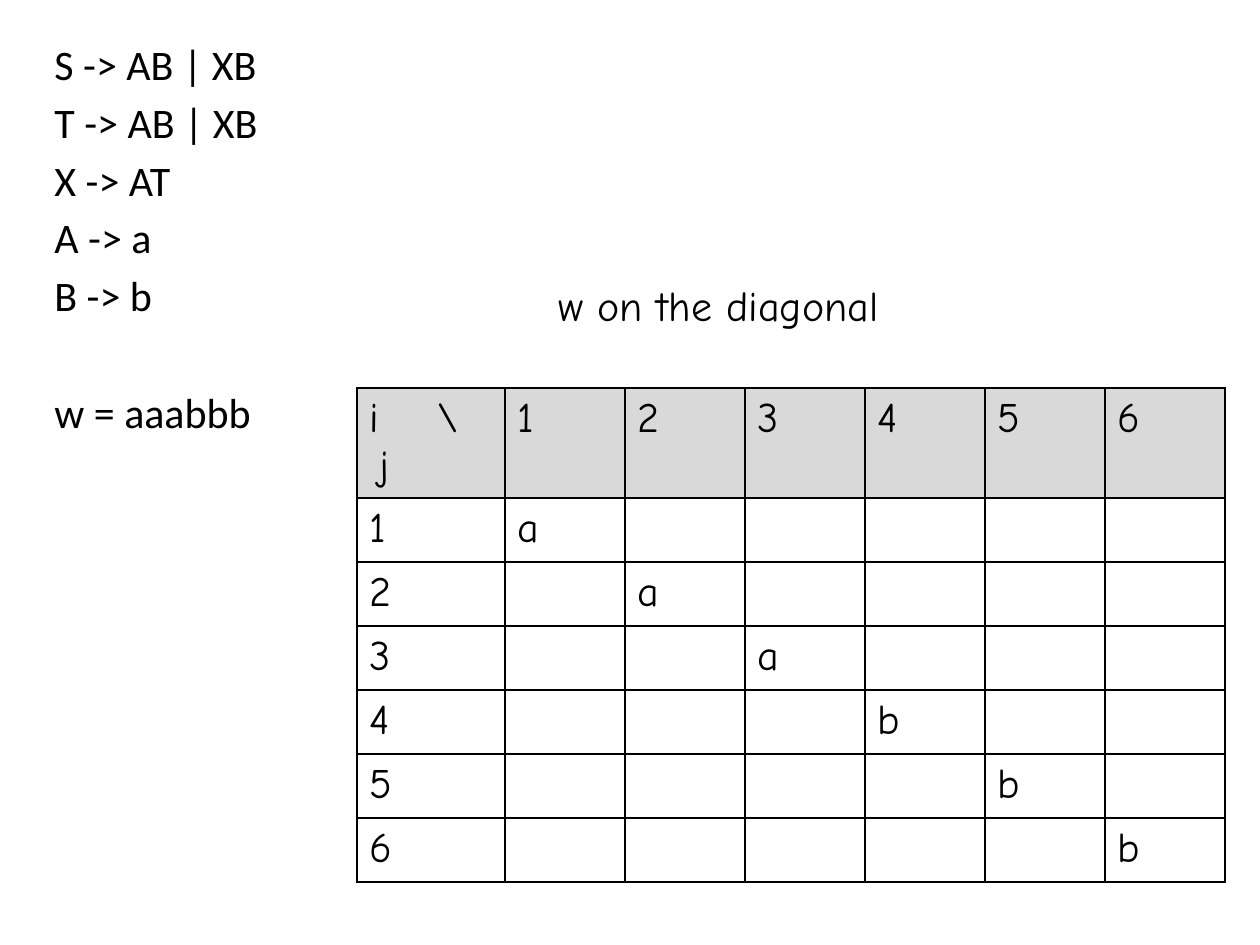
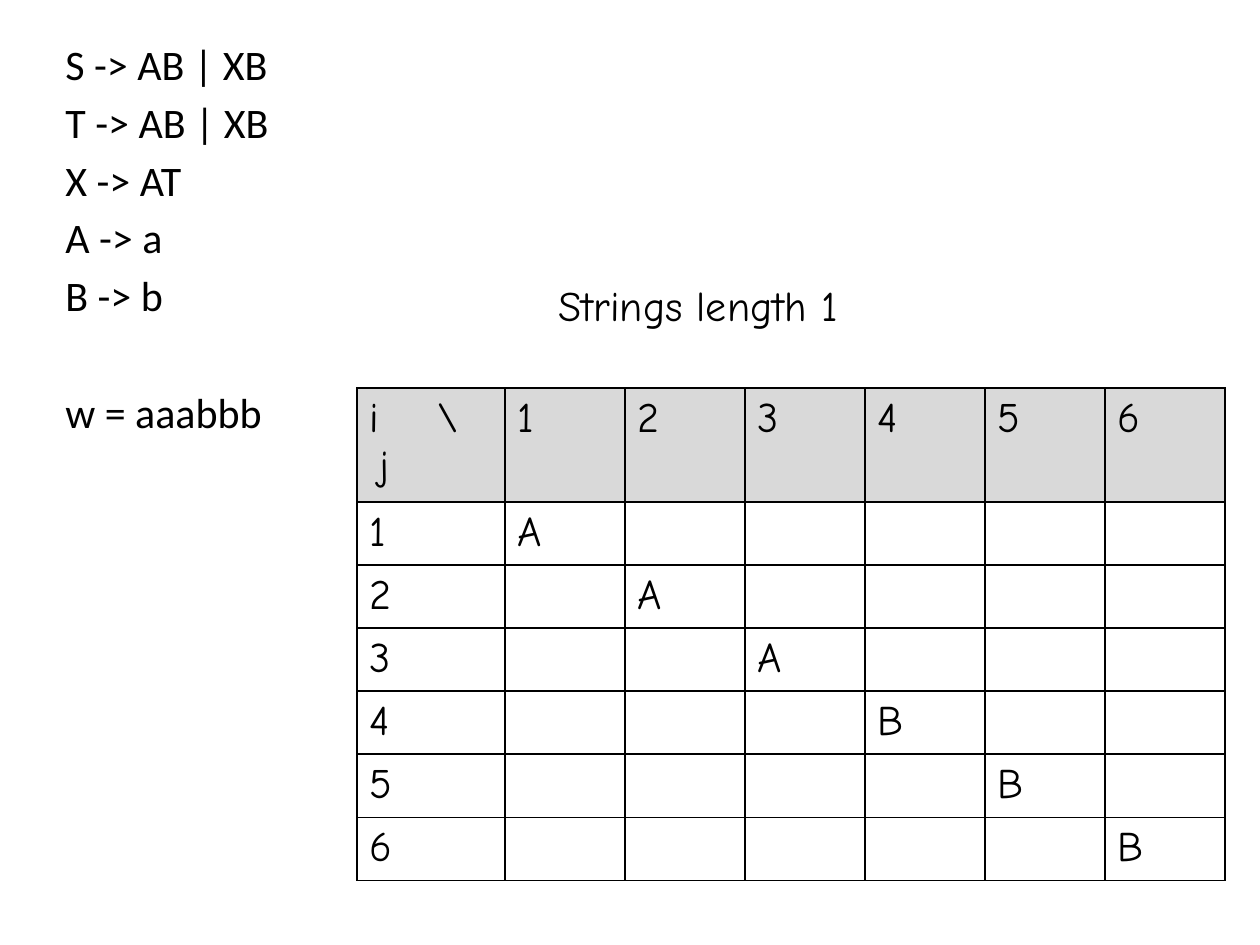
"""Builds two slides that fill a CYK parsing table for the word aaabbb."""
from lxml.etree import SubElement
from pptx import Presentation
from pptx.dml.color import RGBColor
from pptx.enum.text import MSO_AUTO_SIZE as AutoSize
from pptx.oxml.ns import qn
from pptx.util import Emu, Pt

RULES = ["S -> AB | XB", "T -> AB | XB", "X -> AT", "A -> a", "B -> b"]
WORD = "w = aaabbb"
SLIDES = [
    {"caption": "w on the diagonal", "diagonal": "aaabbb",
     "rules_x": 42, "caption_w": 363, "head_h": 110, "row_h": 64},
    {"caption": "Strings length 1", "diagonal": "AAABBB",
     "rules_x": 53, "caption_w": 340, "head_h": 114, "row_h": 63},
]
RULE_FONT, TABLE_FONT, SIZE = "Calibri", "Comic Neue", 24
BLACK, GREY = "000000", "D9D9D9"
GAP, WORD_GAP = 4.3, 37.7
TABLE_X, TABLE_Y, INDEX_W, COL_W = 357, 388, 148, 120
TAB, INDENT = 67, 10


def px(n):
    return Emu(round(n * 914400 / 126))


def rgb(color):
    return RGBColor.from_string(color)


def write(p, text, font, before=GAP):
    p.space_before = Pt(before)
    r = p.add_run()
    r.text = text
    r.font.name, r.font.size = font, Pt(SIZE)
    r.font.color.rgb = rgb(BLACK)


def add_text(s, box, lines, font, wrap=True):
    tf = s.shapes.add_textbox(*map(px, box)).text_frame
    tf.word_wrap = wrap
    tf.auto_size = AutoSize.SHAPE_TO_FIT_TEXT
    for i, (text, before) in enumerate(lines):
        write(tf.add_paragraph() if i else tf.paragraphs[0], text, font, before)


def format_cell(cell, is_head):
    tcPr = cell._tc.get_or_add_tcPr()
    for side in "LRTB":
        ln = SubElement(tcPr, qn(f"a:ln{side}"), w=str(Pt(1)))
        fill = SubElement(ln, qn("a:solidFill"))
        SubElement(fill, qn("a:srgbClr"), val=BLACK)
    if is_head:
        cell.fill.solid()
        cell.fill.fore_color.rgb = rgb(GREY)
    else:
        cell.fill.background()


def write_corner(tf):
    p = tf.paragraphs[0]
    write(p, "i\t\\", TABLE_FONT)
    tabs = SubElement(p._p.get_or_add_pPr(), qn("a:tabLst"))
    SubElement(tabs, qn("a:tab"), pos=str(px(TAB)), algn="l")
    p = tf.add_paragraph()
    write(p, "j", TABLE_FONT, 0)
    p._p.get_or_add_pPr().set("marL", str(px(INDENT)))


def add_grid(s, diagonal, head_h, row_h):
    n = len(diagonal)
    size = (INDEX_W + n * COL_W, head_h + n * row_h)
    table = s.shapes.add_table(n + 1, n + 1, *map(px, (TABLE_X, TABLE_Y, *size))).table
    table.first_row = table.horz_banding = False
    for i in range(n + 1):
        table.columns[i].width = px(COL_W if i else INDEX_W)
        table.rows[i].height = px(row_h if i else head_h)
        for j in range(n + 1):
            cell = table.cell(i, j)
            format_cell(cell, i == 0)
            if i == j == 0:
                write_corner(cell.text_frame)
            elif i == 0 or j == 0:
                write(cell.text_frame.paragraphs[0], str(i + j), TABLE_FONT)
            elif i == j:
                write(cell.text_frame.paragraphs[0], diagonal[i - 1], TABLE_FONT)


def main():
    prs = Presentation()
    prs.slide_width, prs.slide_height = px(1260), px(945)
    rules = [(rule, GAP) for rule in RULES] + [(WORD, WORD_GAP)]
    for d in SLIDES:
        s = prs.slides.add_slide(prs.slide_layouts[6])
        add_grid(s, d["diagonal"], d["head_h"], d["row_h"])
        add_text(s, (d["rules_x"], 32, 581, 430), rules, RULE_FONT)
        add_text(s, (546, 273, d["caption_w"], 63), [(d["caption"], GAP)],
                 TABLE_FONT, wrap=False)
    prs.save("out.pptx")


if __name__ == "__main__":
    main()
